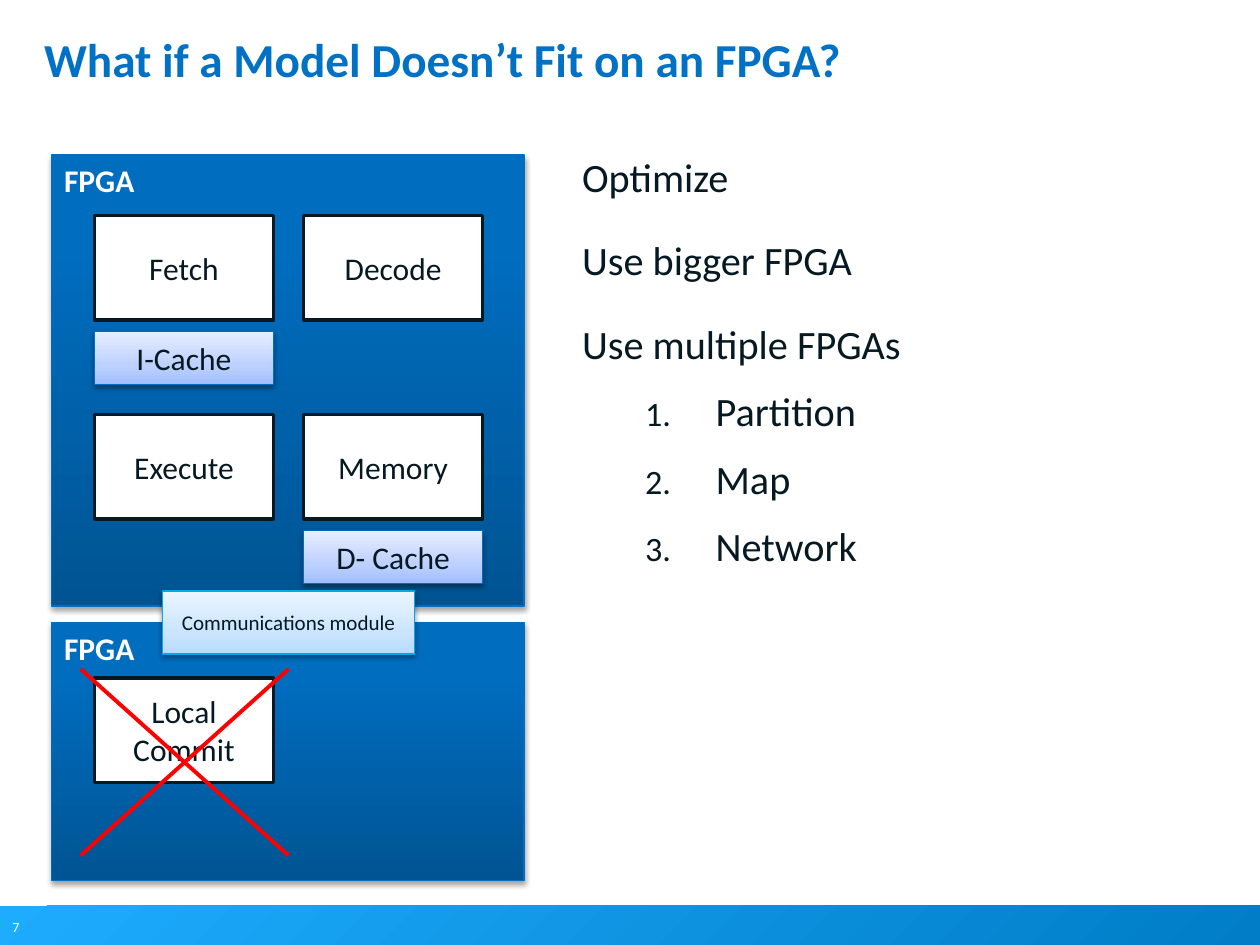
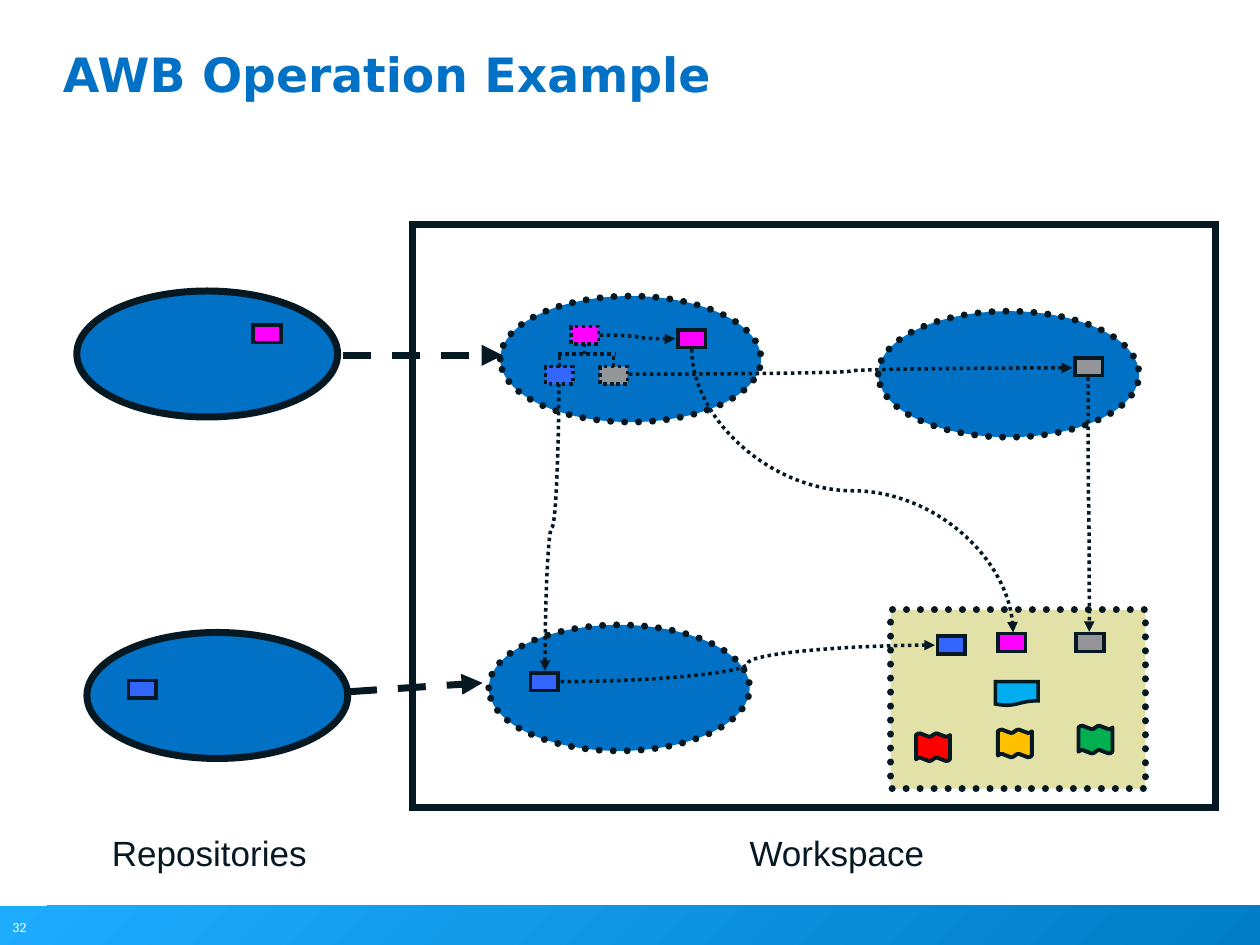
from lxml import etree
from pptx import Presentation
from pptx.dml.color import RGBColor
from pptx.enum.dml import MSO_LINE
from pptx.enum.shapes import MSO_CONNECTOR, MSO_SHAPE
from pptx.enum.text import MSO_ANCHOR, MSO_AUTO_SIZE, PP_ALIGN
from pptx.oxml.ns import qn
from pptx.util import Pt

PX = 9144  # 100 px to the inch

RECT, ELLIPSE = MSO_SHAPE.RECTANGLE, MSO_SHAPE.OVAL
DOCUMENT, WAVE = MSO_SHAPE.FLOWCHART_DOCUMENT, MSO_SHAPE.DOUBLE_WAVE
STRAIGHT, CURVE = MSO_CONNECTOR.STRAIGHT, MSO_CONNECTOR.CURVE
DOT, DASH = MSO_LINE.ROUND_DOT, MSO_LINE.DASH
LEFT, CENTER = PP_ALIGN.LEFT, PP_ALIGN.CENTER
TOP, MIDDLE = MSO_ANCHOR.TOP, MSO_ANCHOR.MIDDLE
SIDE_TOP, SIDE_BOTTOM = 0, 2

INK = RGBColor(0x06, 0x19, 0x22)
WHITE = RGBColor(0xFF, 0xFF, 0xFF)
BLUE = RGBColor(0x00, 0x71, 0xC5)
EDGE = RGBColor(0x00, 0x6F, 0xC1)
CYAN_EDGE = RGBColor(0x00, 0xAA, 0xEA)
RED = RGBColor(0xFF, 0x00, 0x00)
AMBER = RGBColor(0xFF, 0xC0, 0x00)
GREEN = RGBColor(0x00, 0xB0, 0x50)
CYAN = RGBColor(0x00, 0xAE, 0xEF)
MAGENTA = RGBColor(0xFF, 0x00, 0xFF)
INDIGO = RGBColor(0x33, 0x66, 0xFF)
GRAY = RGBColor(0x93, 0x95, 0x98)
SAND = RGBColor(0xE2, 0xE1, 0xA7)

# Gradients: angle, then (percent, colour) stops
BAND = (315, [(0, RGBColor(0x1E, 0xAC, 0xFF)), (100, RGBColor(0x00, 0x7D, 0xC6))])
FPGA = (90, [(0, RGBColor(0x00, 0x54, 0x93)), (80, RGBColor(0x00, 0x6D, 0xBF)),
             (100, RGBColor(0x00, 0x6E, 0xC0))])
CACHE = (90, [(0, RGBColor(0xA2, 0xBE, 0xFF)), (35, RGBColor(0xBD, 0xD1, 0xFF)),
              (100, RGBColor(0xE6, 0xED, 0xFF))])
COMMS = (90, [(0, RGBColor(0xB5, 0xDC, 0xFF)), (35, RGBColor(0xCB, 0xE5, 0xFF)),
              (100, RGBColor(0xEB, 0xF5, 0xFF))])


def add_xml(parent, tag, **attributes):
    child = etree.SubElement(parent, qn(tag))
    for name, value in attributes.items():
        child.set(name, str(value))
    return child


def write(paragraph, text, size=18, color=INK, font="Calibri", bold=False,
          align=LEFT, before=None, spacing=None, numbered=False):
    if numbered:
        paragraph.level = 1
        properties = paragraph._p.get_or_add_pPr()
        properties.set("marL", str(106 * PX))
        properties.set("indent", str(-56 * PX))
        add_xml(add_xml(properties, "a:buClr"), "a:srgbClr", val=color)
        add_xml(properties, "a:buSzPct", val=85000)
        add_xml(properties, "a:buFont", typeface="+mj-lt")
        add_xml(properties, "a:buAutoNum", type="arabicPeriod")
    paragraph.alignment = align
    if before:
        paragraph.space_before = Pt(before)
    if spacing:
        paragraph.line_spacing = Pt(spacing)
    span = paragraph.add_run()
    span.text = text
    span.font.size, span.font.name, span.font.bold = Pt(size), font, bold
    span.font.color.rgb = color


def write_lines(frame, text, **style):
    for index, line in enumerate(text.split("\n")):
        paragraph = frame.add_paragraph() if index else frame.paragraphs[0]
        write(paragraph, line, **style)


def paint(shape, fill):
    if fill is None:
        shape.fill.background()
    elif isinstance(fill, RGBColor):
        shape.fill.solid()
        shape.fill.fore_color.rgb = fill
    else:
        angle, stops = fill
        shape.fill.gradient()
        shape.fill.gradient_angle = angle
        stop_list = shape._element.spPr.find(".//" + qn("a:gsLst"))
        for stop in list(stop_list):
            stop_list.remove(stop)
        for percent, color in stops:
            stop = add_xml(stop_list, "a:gs", pos=percent * 1000)
            add_xml(stop, "a:srgbClr", val=color)


def stroke(shape, color, width, dash=None, sharp=False, arrow=False):
    line = shape.line
    line.color.rgb = color
    line.width = Pt(width)
    outline = shape._element.spPr.find(qn("a:ln"))
    if dash:
        line.dash_style = dash
    if dash == DOT and width > 2:
        outline.set("cap", "rnd")
    if sharp:
        add_xml(outline, "a:miter", lim=800000)
    if arrow:
        add_xml(outline, "a:tailEnd", type="triangle")


class Page:
    """Draws on the current slide in the deck's shared style."""

    def __init__(self, deck):
        self.deck = deck
        self.shapes = None

    def start(self, number, title, left, top, width, height, font="Calibri"):
        self.shapes = self.deck.slides.add_slide(self.deck.slide_layouts[6]).shapes
        self.box(0, 719, 1001, 32, BAND)
        self.label(0, 724, 31, 24, number, size=8, color=WHITE)
        frame = self.text_area(left, top, width, height)
        write(frame.paragraphs[0], title, size=27, color=BLUE, font=font,
              bold=True, spacing=26)

    def text_area(self, left, top, width, height):
        """Add a wrapped text box without insets and return its frame."""
        frame = self.shapes.add_textbox(left * PX, top * PX, width * PX, height * PX).text_frame
        frame.word_wrap = True
        frame.margin_left = frame.margin_top = frame.margin_right = frame.margin_bottom = 0
        return frame

    def label(self, left, top, width, height, text, **style):
        frame = self.shapes.add_textbox(left * PX, top * PX, width * PX, height * PX).text_frame
        frame.word_wrap = False
        frame.auto_size = MSO_AUTO_SIZE.SHAPE_TO_FIT_TEXT
        write(frame.paragraphs[0], text, **style)

    def box(self, left, top, width, height, fill, kind=RECT, line=None, line_width=2,
            dash=None, sharp=False, shadow=None, text="", anchor=MIDDLE, wrap=True, **style):
        """shadow is (opacity in percent, distance in points)."""
        shape = self.shapes.add_shape(kind, left * PX, top * PX, width * PX, height * PX)
        paint(shape, fill)
        if line is None:
            shape.line.fill.background()
        else:
            stroke(shape, line, line_width, dash, sharp)
        shape.shadow.inherit = False
        if shadow:
            opacity, distance = shadow
            effects = shape._element.spPr.find(qn("a:effectLst"))
            cast = add_xml(effects, "a:outerShdw", blurRad=Pt(3.1), dist=Pt(distance),
                           dir=5400000, rotWithShape=0)
            add_xml(add_xml(cast, "a:srgbClr", val="000000"), "a:alpha", val=opacity * 1000)
        if text:
            shape.text_frame.word_wrap = wrap
            shape.text_frame.vertical_anchor = anchor
            write_lines(shape.text_frame, text, **style)
        return shape

    def line(self, x1, y1, x2, y2, kind=STRAIGHT, color=INK, width=2, dash=None, arrow=False):
        connector = self.shapes.add_connector(kind, x1 * PX, y1 * PX, x2 * PX, y2 * PX)
        stroke(connector, color, width, dash, arrow=arrow)
        add_xml(connector._element.spPr, "a:effectLst")
        return connector

    def curve(self, x1, y1, x2, y2):
        """Dotted arrow that leaves and arrives horizontally."""
        return self.line(x1, y1, x2, y2, CURVE, dash=DOT, arrow=True)

    def drop_curve(self, x1, y1, x2, y2):
        """Dotted arrow that leaves and arrives vertically: a curve turned a quarter."""
        length, drift = y2 - y1, abs(x2 - x1)
        left, top = (x1 + x2 - length) // 2, (y1 + y2 - drift) // 2
        ends = (left, left + length) if x2 < x1 else (left + length, left)
        connector = self.curve(ends[0], top, ends[1], top + drift)
        degrees = 90 if x2 < x1 else 270
        connector._element.spPr.find(qn("a:xfrm")).set("rot", str(degrees * 60000))


def draw_fpga_slide(page):
    page.start("7", "What if a Model Doesn’t Fit on an FPGA?", 35, 33, 949, 125)

    frame = page.text_area(462, 121, 517, 542)
    for index, text in enumerate(["Optimize", "Use bigger FPGA", "Use multiple FPGAs"]):
        paragraph = frame.add_paragraph() if index else frame.paragraphs[0]
        write(paragraph, text, size=23, before=20 if index else None)
    for text in ["Partition", "Map", "Network"]:
        write(frame.add_paragraph(), text, size=23, before=11, numbered=True)

    for top, height in [(494, 205), (123, 358)]:
        page.box(41, top, 375, height, FPGA, line=EDGE, line_width=0.75, shadow=(35, 1.8),
                 text="FPGA", anchor=TOP, color=WHITE, bold=True)

    columns = 75, 241
    stages = [(0, 171, "Fetch"), (1, 171, "Decode"), (0, 329, "Execute"),
              (1, 329, "Memory"), (0, 538, "Local\nCommit")]
    for column, top, text in stages:
        page.box(columns[column], top, 142, 83, WHITE, line=INK, text=text, align=CENTER)
    for column, top, text in [(0, 263, "I-Cache"), (1, 421, "D- Cache")]:
        page.box(columns[column], top, 142, 42, CACHE, line=EDGE, line_width=0.75,
                 shadow=(38, 1.6), text=text, align=CENTER)

    for start, end in [(64, 229), (229, 64)]:
        page.line(start, 531, end, 679, color=RED, width=2.25)
    page.box(129, 469, 200, 50, COMMS, line=CYAN_EDGE, line_width=0.75, shadow=(38, 1.6),
             text="Communications module", wrap=False, size=12, align=CENTER)


def draw_workspace_slide(page):
    page.start("32", "AWB Operation Example", 50, 45, 900, 97, font="DejaVu Sans")

    def chip(left, top, color, dash=None):
        return page.box(left, top, 22, 14, color, line=INK, dash=dash, sharp=True)

    repositories = [(61, 231, None), (69, 502, None)]
    checkouts = [(397, 235, DOT), (388, 496, DOT), (697, 247, DOT)]
    for left, top, dash in repositories + checkouts:
        page.box(left, top, 207, 100, BLUE, ELLIPSE, line=INK, line_width=4, dash=dash)
    page.box(707, 484, 202, 142, SAND, line=INK, line_width=4, dash=DOT)

    chips = [(201, 258, MAGENTA), (538, 262, MAGENTA), (792, 503, MAGENTA),
             (102, 540, INDIGO), (421, 534, INDIGO), (744, 505, INDIGO),
             (853, 284, GRAY), (854, 503, GRAY)]
    for left, top, color in chips:
        chip(left, top, color)

    # Module tree: a parent chip over two children
    bar = 281
    parent = chip(453, 259, MAGENTA, DOT)
    trunk = page.line(464, bar, 464, 273, dash=DOT)
    trunk.end_connect(parent, SIDE_BOTTOM)
    for left, color in [(433, INDIGO), (476, GRAY)]:
        child = chip(left, 291, color, DOT)
        branch = page.line(left + 11, 291, left + 11, bar, dash=DOT)
        branch.begin_connect(child, SIDE_TOP)
    page.line(443, bar, 489, bar, dash=DOT)

    for ends in [(499, 297, 851, 292), (476, 266, 536, 269), (445, 541, 742, 512)]:
        page.curve(*ends)
    for ends in [(444, 305, 433, 533), (549, 277, 804, 502), (864, 300, 865, 502)]:
        page.drop_curve(*ends)
    for ends in [(272, 282, 399, 282), (277, 549, 383, 542)]:
        page.line(*ends, width=4, dash=DASH, arrow=True)

    page.box(790, 541, 34, 19, CYAN, DOCUMENT, line=INK, sharp=True)
    for left, top, color in [(727, 582, RED), (792, 579, AMBER), (856, 576, GREEN)]:
        page.box(left, top, 27, 22, color, WAVE, line=INK, line_width=2.25)

    page.box(327, 178, 638, 463, None, line=INK, line_width=4, sharp=True)
    page.label(79, 655, 190, 43, "Repositories", size=20, font="Arial")
    page.label(585, 655, 172, 43, "Workspace", size=20, font="Arial")


def main():
    deck = Presentation()
    deck.slide_width, deck.slide_height = 1000 * PX, 750 * PX
    page = Page(deck)
    draw_fpga_slide(page)
    draw_workspace_slide(page)
    deck.save("out.pptx")


if __name__ == "__main__":
    main()
